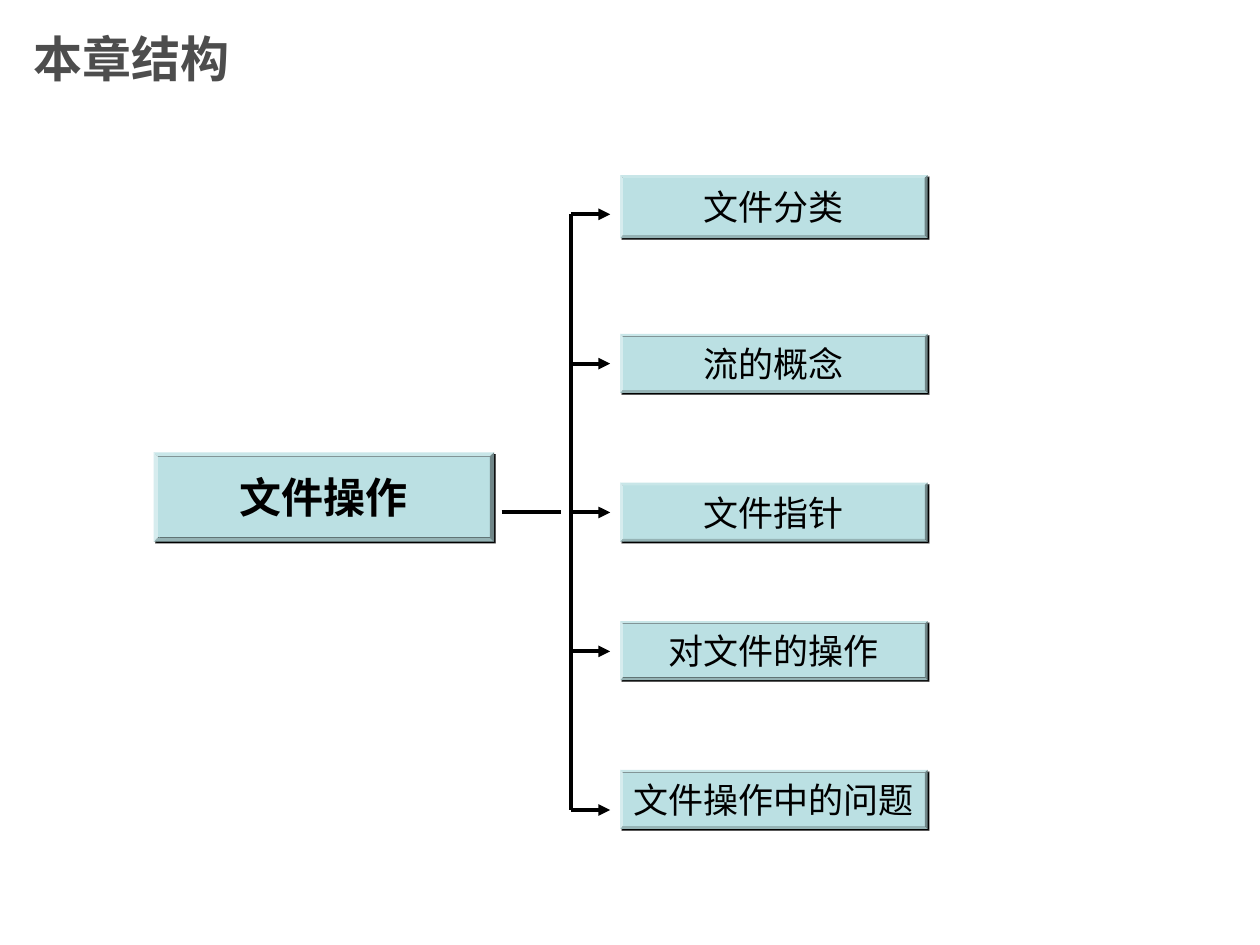
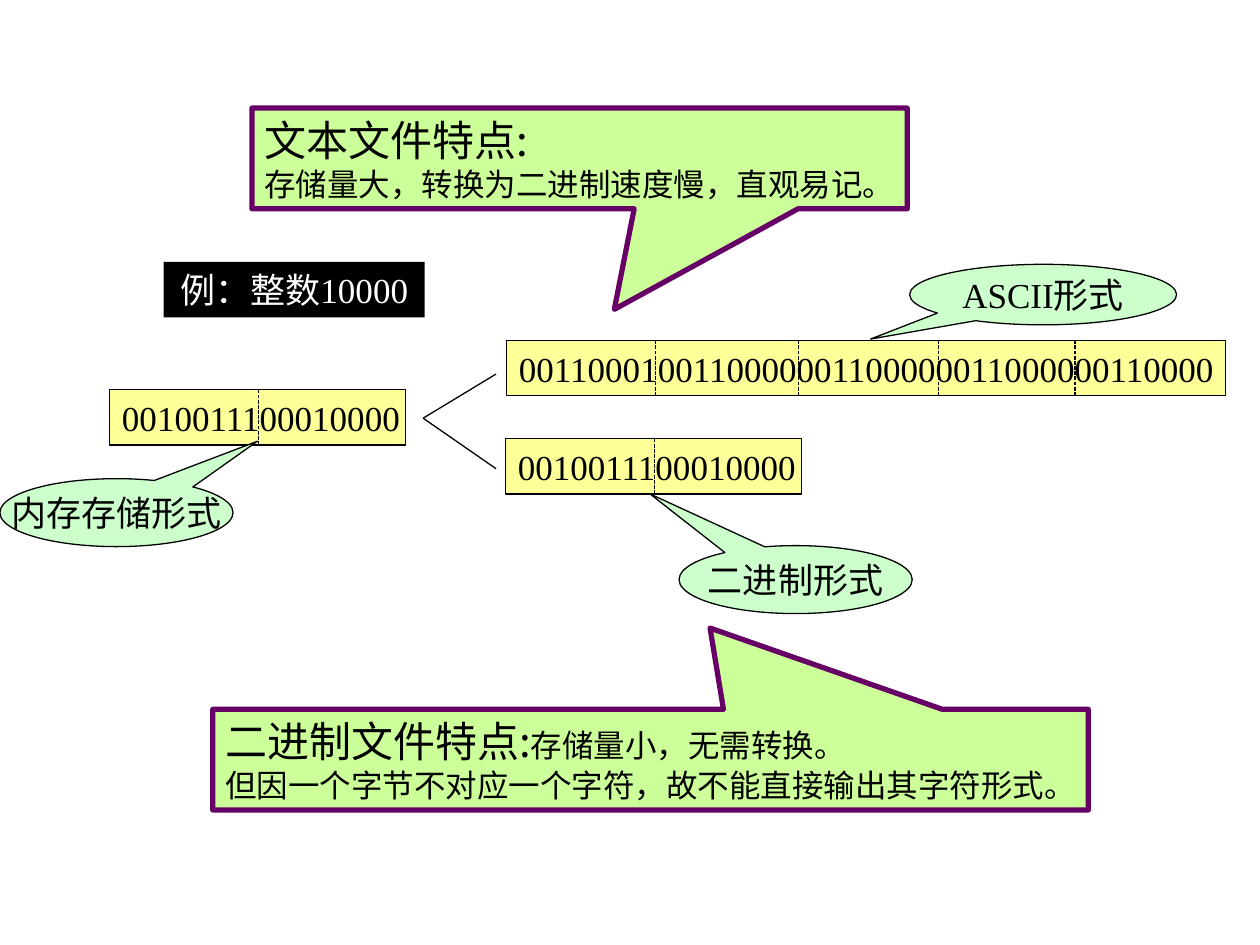
from lxml import etree
from pptx import Presentation
from pptx import util as u
from pptx.dml.color import RGBColor
from pptx.enum import dml, shapes, text
from pptx.oxml.ns import qn

SANS, CJK, SERIF = "Arial", "Noto Sans CJK SC", "Times New Roman"
BLACK, WHITE, GREY = "000000", "FFFFFF", "4D4D4D"
TEAL, YELLOW, MINT, LIME, PURPLE = "BBE0E3", "FFFF99", "CCFFCC", "CCFF99", "660066"
LEFT, CENTER = text.PP_ALIGN.LEFT, text.PP_ALIGN.CENTER
SHAPE = shapes.MSO_SHAPE


def color(value):
    return RGBColor.from_string(value)


def set_font(font, name, size, fill=BLACK, bold=False):
    font.name, font.size, font.bold = name, u.Pt(size), bold
    font.color.rgb = color(fill)


class Deck:
    def __init__(self):
        self.presentation = Presentation()
        self.presentation.slide_width = u.Cm(25.4)
        self.presentation.slide_height = u.Cm(19.05)
        self.slide = None

    def add_slide(self, layout):
        layout = self.presentation.slide_layouts.get_by_name(layout)
        self.slide = self.presentation.slides.add_slide(layout)

    def title(self, words):
        title = self.slide.shapes.title
        title.left, title.top = u.Cm(0.43), u.Cm(0)
        title.width, title.height = u.Cm(19.05), u.Cm(2.34)
        frame = title.text_frame
        frame.text = words
        frame.vertical_anchor = text.MSO_ANCHOR.MIDDLE
        frame.paragraphs[0].alignment = LEFT
        set_font(frame.paragraphs[0].font, SANS, 28, GREY, True)

    def shape(self, kind, box, fill, line=None, width=0.75, adjust=()):
        shape = self.slide.shapes.add_shape(kind, *map(u.Cm, box))
        shape.shadow.inherit = False
        shape.fill.solid()
        shape.fill.fore_color.rgb = color(fill)
        if line:
            shape.line.color.rgb = color(line)
            shape.line.width = u.Pt(width)
        else:
            shape.line.fill.background()
        for index, value in enumerate(adjust):
            shape.adjustments[index] = value
        shape.text_frame.word_wrap = False
        shape.text_frame.vertical_anchor = text.MSO_ANCHOR.MIDDLE
        return shape

    def label(self, shape, words, font=SERIF, size=20, fill=BLACK, bold=False, align=CENTER):
        paragraph = shape.text_frame.paragraphs[0]
        paragraph.text = words
        paragraph.alignment = align
        set_font(paragraph.font, font, size, fill, bold)

    def bevel(self, box, words, **style):
        shape = self.shape(SHAPE.BEVEL, box, TEAL, adjust=[0.047])
        effects = shape._element.spPr.find(qn("a:effectLst"))
        shadow = etree.SubElement(effects, qn("a:outerShdw"), dist=str(u.Pt(1.4)),
                                  dir="2700000", algn="ctr", rotWithShape="0")
        etree.SubElement(shadow, qn("a:srgbClr"), val=BLACK)
        self.label(shape, words, **style)

    def line(self, start, end, width=0.75, arrow=False, dotted=False):
        connector = self.slide.shapes.add_connector(
            shapes.MSO_CONNECTOR.STRAIGHT, *map(u.Cm, start + end))
        connector.line.color.rgb = color(BLACK)
        connector.line.width = u.Pt(width)
        if dotted:
            connector.line.dash_style = dml.MSO_LINE.SQUARE_DOT
        if arrow:
            etree.SubElement(connector.line._get_or_add_ln(), qn("a:tailEnd"), type="triangle")
        etree.SubElement(connector._element.spPr, qn("a:effectLst"))

    def bit_strip(self, left, top, width, bits, dividers):
        height = 1.12
        strip = self.shape(SHAPE.RECTANGLE, (left, top, width, height), YELLOW, BLACK)
        self.label(strip, bits, align=LEFT)
        for offset in dividers:
            x = left + offset
            self.line((x, top), (x, top + height), dotted=True)

    def bubble(self, box, tip, words):
        shape = self.shape(SHAPE.OVAL_CALLOUT, box, MINT, BLACK, adjust=tip)
        self.label(shape, words)

    def note(self, box, tip, lines):
        shape = self.shape(SHAPE.RECTANGULAR_CALLOUT, box, LIME, PURPLE, 3, tip)
        frame = shape.text_frame
        for index, runs in enumerate(lines):
            paragraph = frame.add_paragraph() if index else frame.paragraphs[0]
            paragraph.alignment = LEFT
            for words, font, size in runs:
                run = paragraph.add_run()
                run.text = words
                set_font(run.font, font, size)


def chapter_slide(deck):
    deck.add_slide("Title Only")
    deck.title("本章结构")
    deck.bevel((3.1, 9.12, 6.86, 1.8), "文件操作", font=CJK, size=24, bold=True)
    topics = [
        ("文件分类", 3.53, 1.27, 4.32),
        ("流的概念", 6.73, 1.19, 7.33),
        ("文件指针", 9.73, 1.19, 10.33),
        ("对文件的操作", 12.52, 1.19, 13.13),
        ("文件操作中的问题", 15.52, 1.19, 16.33),
    ]
    trunk = 11.51
    deck.line((trunk, topics[0][-1]), (trunk, topics[-1][-1]), 2.25)
    deck.line((10.11, 10.33), (11.3, 10.33), 2.25)
    for words, top, height, arrow_y in topics:
        deck.bevel((12.5, top, 6.2, height), words, font=SANS)
        deck.line((trunk, arrow_y), (12.3, arrow_y), 2.25, arrow=True)


def storage_slide(deck):
    deck.add_slide("Blank")
    example = deck.shape(SHAPE.RECTANGLE, (3.3, 5.28, 5.26, 1.12), BLACK)
    deck.label(example, "例：整数10000", fill=WHITE)

    binary = "0010011100010000"
    deck.bit_strip(2.21, 7.85, 5.97, binary, [3])
    deck.bit_strip(10.19, 8.84, 5.97, binary, [3])
    deck.bit_strip(10.21, 6.86, 14.5, "00110001" + "00110000" * 4, [3, 5.89, 8.71, 11.46])

    deck.bubble((0, 9.65, 4.7, 1.37), (0.604, -1.05), "内存存储形式")
    deck.bubble((13.69, 11, 4.7, 1.37), (-0.625, -1.262), "二进制形式")
    deck.bubble((18.34, 5.33, 5.38, 1.22), (-0.647, 0.735), "ASCII形式")

    for branch_y in (7.54, 9.45):
        deck.line((8.53, 8.43), (10, branch_y))

    deck.note((5.08, 2.18, 13.21, 2.03), (0.053, 1.499), [
        [("文本文件特点:", CJK, 24)],
        [("存储量大，转换为二进制速度慢，直观易记。", SERIF, 18)],
    ])
    deck.note((4.29, 14.3, 17.65, 2.03), (0.068, -1.307), [
        [("二进制文件特点:", CJK, 24), ("存储量小，无需转换。", SERIF, 18)],
        [("但因一个字节不对应一个字符，故不能直接输出其字符形式。", SERIF, 18)],
    ])


def main():
    deck = Deck()
    chapter_slide(deck)
    storage_slide(deck)
    deck.presentation.save("out.pptx")


if __name__ == "__main__":
    main()
